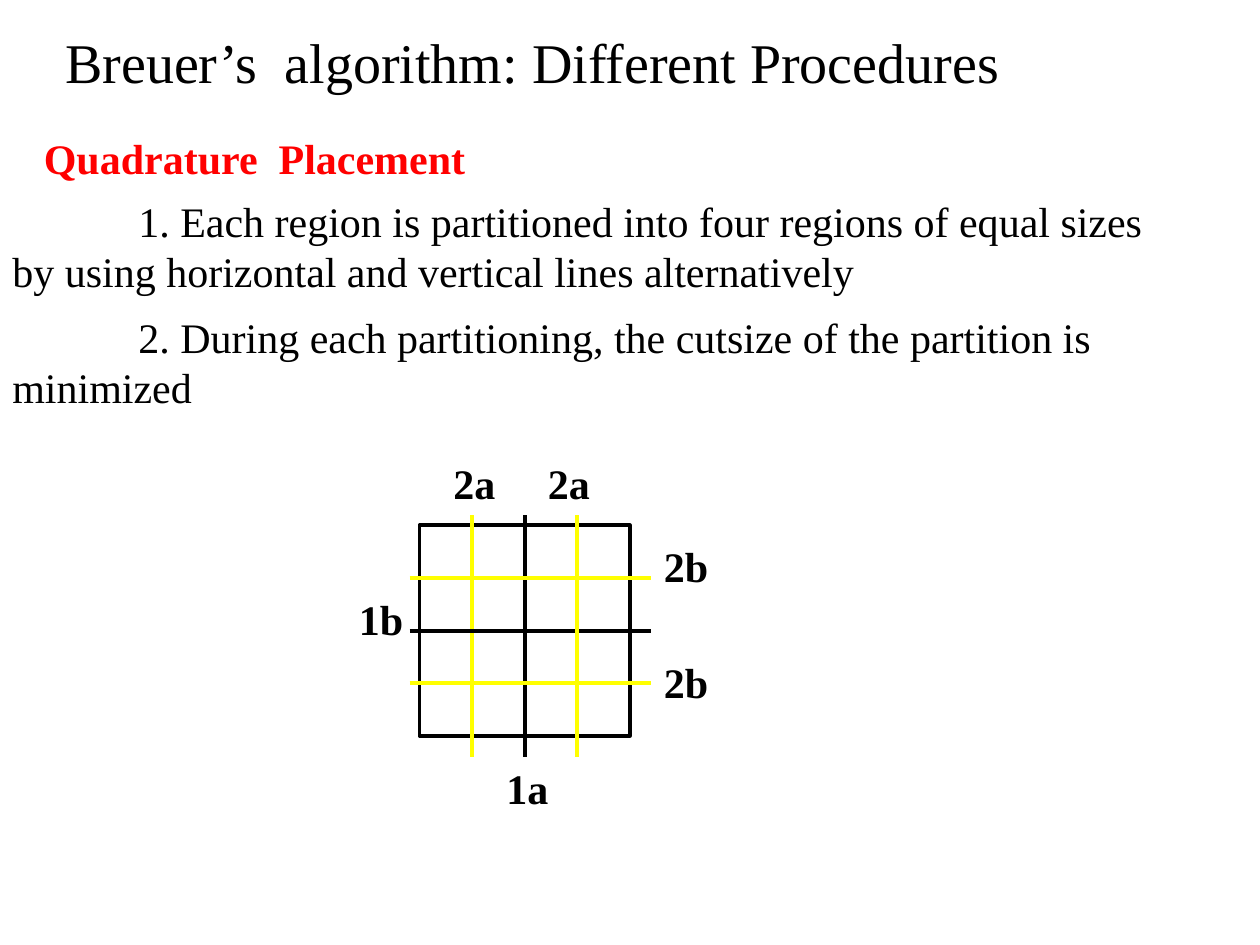
from dataclasses import dataclass

from lxml import etree
from pptx import Presentation
from pptx.dml.color import RGBColor
from pptx.enum.shapes import MSO_CONNECTOR, MSO_SHAPE
from pptx.oxml.ns import qn
from pptx.util import Inches, Pt

STRAIGHT = MSO_CONNECTOR.STRAIGHT
RECTANGLE = MSO_SHAPE.RECTANGLE


@dataclass(frozen=True)
class Theme:
    font: str = "Times New Roman"
    ink: RGBColor = RGBColor(0, 0, 0)
    accent: RGBColor = RGBColor(255, 0, 0)
    second_cut: RGBColor = RGBColor(255, 255, 0)
    title_size: int = 32
    body_size: int = 24
    stroke: float = 2.25


THEME = Theme()


def add_text(page, box, text, size=THEME.body_size, color=THEME.ink,
             bold=False, first_indent=0):
    left, top, width, height = map(Inches, box)
    frame = page.shapes.add_textbox(left, top, width, height).text_frame
    frame.word_wrap = True
    para = frame.paragraphs[0]
    if first_indent:
        properties = para._p.get_or_add_pPr()
        properties.set("marL", "0")
        properties.set("indent", str(Inches(first_indent)))
    span = para.add_run()
    span.text = text
    span.font.name = THEME.font
    span.font.size = Pt(size)
    span.font.bold = bold
    span.font.color.rgb = color


def add_cut(page, start, end, color):
    line = page.shapes.add_connector(STRAIGHT, *map(Inches, start + end))
    line.line.color.rgb = color
    line.line.width = Pt(THEME.stroke)
    etree.SubElement(line._element.spPr, qn("a:effectLst"))


def add_heading(page, box):
    left, top, width, height = box
    add_text(page, (left + 0.42, top, width, 0.64),
             "Breuer’s  algorithm: Different Procedures", THEME.title_size)
    add_text(page, (left + 0.25, top + height - 0.5, 9.5, 0.5),
             "Quadrature  Placement", color=THEME.accent, bold=True)


def add_steps(page, box):
    left, top, width, height = box
    steps = (
        ("1. Each region is partitioned into four regions of equal sizes "
         "by using horizontal and vertical lines alternatively"),
        ("2. During each partitioning, the cutsize of the partition is "
         "minimized"),
    )
    for row, step in enumerate(steps):
        add_text(page, (left, top + row * 0.92, width, height), step,
                 first_indent=1)


def add_cut_diagram(page, box):
    left, top, width, height = box

    # Region to be partitioned
    region = page.shapes.add_shape(RECTANGLE, *map(Inches, box))
    region.shadow.inherit = False
    region.fill.background()
    region.line.color.rgb = THEME.ink
    region.line.width = Pt(THEME.stroke)

    # Cut lines at quarters of the region, from back to front
    before, after = 0.08, 0.17
    cuts = (("v", 1), ("v", 2), ("h", 2), ("v", 3), ("h", 3), ("h", 1))
    for direction, quarter in cuts:
        color = THEME.ink if quarter == 2 else THEME.second_cut
        if direction == "v":
            x = left + width * quarter / 4
            add_cut(page, (x, top - before), (x, top + height + after), color)
        else:
            y = top + height * quarter / 4
            add_cut(page, (left - before, y), (left + width + after, y), color)

    # Cut names, as offsets from the region's corner
    labels = (("1a", 0.59, 1.83), ("1b", -0.58, 0.49),
              ("2a", 0.17, -0.59), ("2a", 0.92, -0.59),
              ("2b", 1.84, 0.07), ("2b", 1.84, 0.99))
    for name, across, down in labels:
        add_text(page, (left + across, top + down, 0.67, 0.5), name, bold=True)


def main():
    deck = Presentation()
    deck.slide_width, deck.slide_height = Inches(10), Inches(7.5)
    page = deck.slides.add_slide(deck.slide_layouts[6])
    add_heading(page, (0, 0.17, 9.5, 1.33))
    add_steps(page, (0, 1.5, 9.5, 0.9))
    add_cut_diagram(page, (3.33, 4.17, 1.67, 1.67))
    deck.save("out.pptx")


if __name__ == "__main__":
    main()
